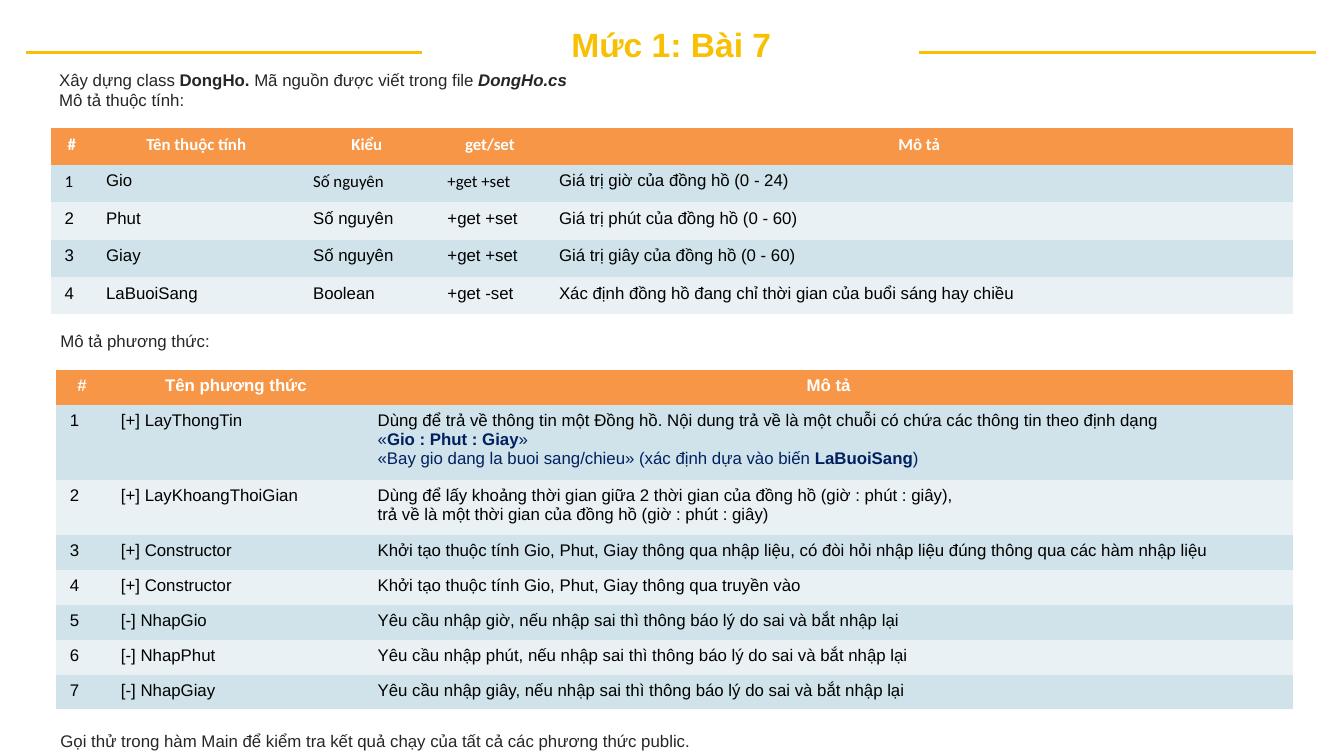
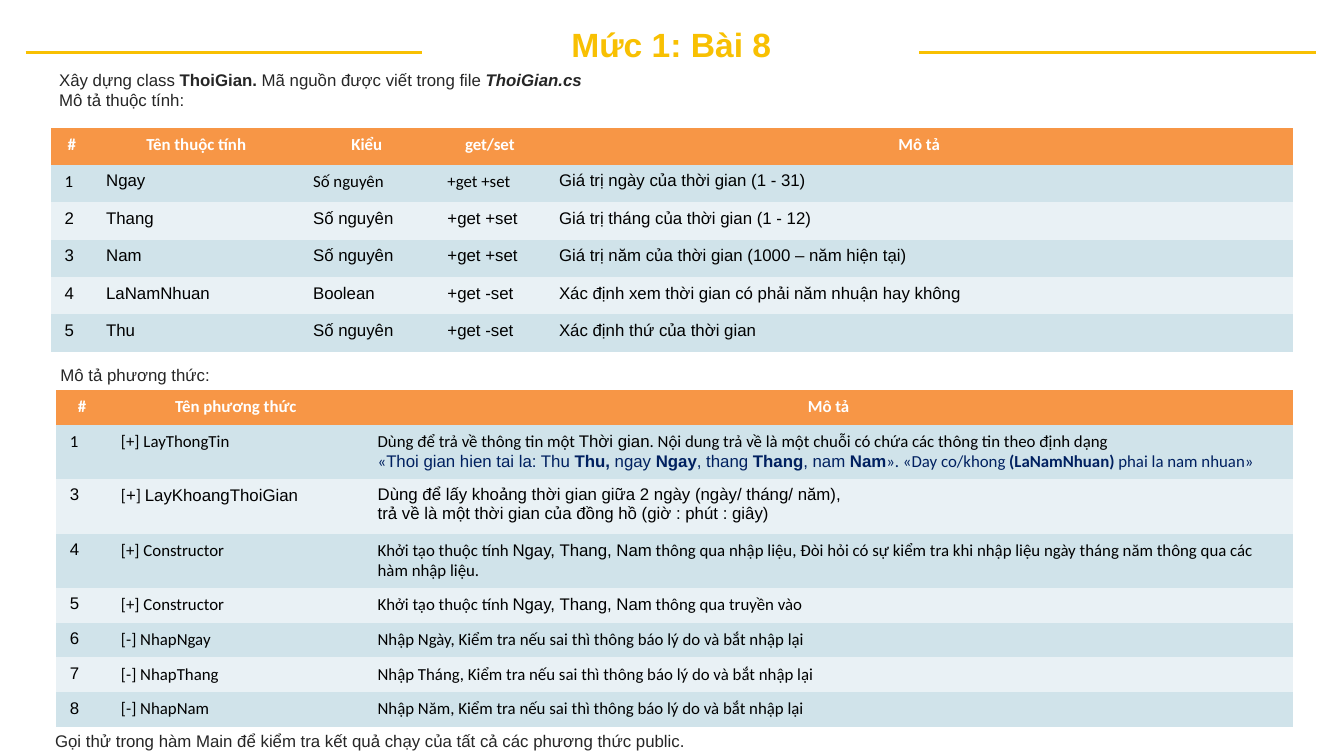
from pptx import Presentation
from pptx.dml.color import RGBColor
from pptx.enum.shapes import MSO_CONNECTOR
from pptx.enum.text import MSO_ANCHOR, MSO_AUTO_SIZE, PP_ALIGN
from pptx.oxml.ns import qn
from pptx.util import Inches, Pt
from lxml.etree import SubElement

GOLD = RGBColor(0xF8, 0xC0, 0x02)
INK = RGBColor(0x26, 0x26, 0x26)
BLACK = RGBColor(0, 0, 0)
WHITE = RGBColor(0xFF, 0xFF, 0xFF)
NAVY = RGBColor(0x00, 0x20, 0x60)
ORANGE = RGBColor(0xF7, 0x96, 0x46)
BANDS = [RGBColor(0xD0, 0xE3, 0xEA), RGBColor(0xE9, 0xF1, 0xF5)]

prs = Presentation()
prs.slide_width, prs.slide_height = Inches(10), Inches(5.625)
COL = prs.slide_width // 100

ATTRIBUTE_COLS = [3.1, 15.4, 10, 8.3, 55.6]
METHOD_COLS = [3.8, 19.1, 69.1]
ATTRIBUTE_HEAD = [(t, "c") for t in ("#", "Tên thuộc tính", "Kiểu", "get/set", "Mô tả")]
METHOD_HEAD = ["#", "Tên phương thức", "Mô tả"]
FIRST_NUMBER = ("1", "c")
FIRST_TYPE = [FIRST_NUMBER, ("Số nguyên", "c"), ("+get +set", "c")]
CALL_NOTE = "Gọi thử trong hàm Main để kiểm tra kết quả chạy của tất cả các phương thức public."
CHECK = "nếu nhập sai thì thông báo lý do sai và bắt nhập lại"
RECHECK = "Kiểm tra nếu sai thì thông báo lý do và bắt nhập lại"
TIME_RESULT = "trả về là một thời gian của đồng hồ (giờ : phút : giây)"
DATE_FIELDS = ("Ngay, Thang, Nam", "")

slides = [
    {
        "title": "Mức 1: Bài 7",
        "class": "DongHo",
        "attributes": [
            ATTRIBUTE_HEAD,
            [FIRST_NUMBER, "Gio", *FIRST_TYPE[1:], "Giá trị giờ của đồng hồ (0 - 24)"],
            ["2", "Phut", "Số nguyên", "+get +set", "Giá trị phút của đồng hồ (0 - 60)"],
            ["3", "Giay", "Số nguyên", "+get +set", "Giá trị giây của đồng hồ (0 - 60)"],
            ["4", "LaBuoiSang", "Boolean", "+get -set",
             "Xác định đồng hồ đang chỉ thời gian của buổi sáng hay chiều"],
        ],
        "label_top": 24.2,
        "methods_top": 27.5,
        "method_rows": [2.6, 5.6, 4.1] + [2.6] * 5,
        "methods": [
            METHOD_HEAD,
            ["1", "[+] LayThongTin", [
                "Dùng để trả về thông tin một Đồng hồ. Nội dung trả về là một chuỗi có chứa các thông tin theo định dạng",
                [("«", "n"), ("Gio : Phut : Giay", "nb"), ("»", "n")],
                [("«Bay gio dang la buoi sang/chieu» (xác định dựa vào biến ", "n"),
                 ("LaBuoiSang", "nb"), (")", "n")]]],
            ["2", "[+] LayKhoangThoiGian", [
                "Dùng để lấy khoảng thời gian giữa 2 thời gian của đồng hồ (giờ : phút : giây),",
                TIME_RESULT]],
            ["3", "[+] Constructor",
             "Khởi tạo thuộc tính Gio, Phut, Giay thông qua nhập liệu, có đòi hỏi nhập liệu đúng thông qua các hàm nhập liệu"],
            ["4", "[+] Constructor", "Khởi tạo thuộc tính Gio, Phut, Giay thông qua truyền vào"],
            ["5", "[-] NhapGio", f"Yêu cầu nhập giờ, {CHECK}"],
            ["6", "[-] NhapPhut", f"Yêu cầu nhập phút, {CHECK}"],
            ["7", "[-] NhapGiay", f"Yêu cầu nhập giây, {CHECK}"],
        ],
        "note_left": 3.8,
    },
    {
        "title": "Mức 1: Bài 8",
        "class": "ThoiGian",
        "attributes": [
            ATTRIBUTE_HEAD,
            [FIRST_NUMBER, "Ngay", *FIRST_TYPE[1:], "Giá trị ngày của thời gian (1 - 31)"],
            ["2", "Thang", "Số nguyên", "+get +set", "Giá trị tháng của thời gian (1 - 12)"],
            ["3", "Nam", "Số nguyên", "+get +set", "Giá trị năm của thời gian (1000 – năm hiện tại)"],
            ["4", "LaNamNhuan", "Boolean", "+get -set", "Xác định xem thời gian có phải năm nhuận hay không"],
            ["5", "Thu", "Số nguyên", "+get -set", "Xác định thứ của thời gian"],
        ],
        "label_top": 26.7,
        "methods_top": 29,
        "method_rows": [2.6, 3.2, 4.1] + [2.6] * 5,
        "methods": [
            [(t, "c") for t in METHOD_HEAD],
            [FIRST_NUMBER, ("[+] LayThongTin", "c"), [
                [("Dùng để trả về thông tin một ", "c"), ("Thời gian", ""),
                 (". Nội dung trả về là một chuỗi có chứa các thông tin theo định dạng", "c")],
                [("«", "nc"), ("Thoi gian hien tai la: Thu ", "n"), ("Thu, ", "nb"), ("ngay ", "n"),
                 ("Ngay", "nb"), (", thang ", "n"), ("Thang", "nb"), (", nam ", "n"), ("Nam", "nb"),
                 ("». «Day co/khong ", "nc"), ("(LaNamNhuan) ", "ncb"), ("phai la nam nhuan»", "nc")]]],
            ["3", [[("[", "c"), ("+", ""), ("] ", "c"), ("LayKhoangThoiGian", "")]],
             ["Dùng để lấy khoảng thời gian giữa 2 ngày (ngày/ tháng/ năm),", TIME_RESULT]],
            ["4", ("[+] Constructor", "c"), [
                [("Khởi tạo thuộc tính ", "c"), DATE_FIELDS,
                 (" thông qua nhập liệu, Đòi hỏi có sự kiểm tra khi nhập liệu ngày tháng năm thông qua các hàm nhập liệu.", "c")]]],
            ["5", ("[+] Constructor", "c"), [
                [("Khởi tạo thuộc tính ", "c"), DATE_FIELDS, (" thông qua truyền vào", "c")]]],
            ["6", ("[-] NhapNgay", "c"), (f"Nhập Ngày, {RECHECK}", "c")],
            ["7", ("[-] NhapThang", "c"), (f"Nhập Tháng, {RECHECK}", "c")],
            ["8", ("[-] NhapNam", "c"), (f"Nhập Năm, {RECHECK}", "c")],
        ],
        "note_left": 3.4,
    },
]


def style(font, flags):
    if "b" in flags:
        font.bold = True
    if "i" in flags:
        font.italic = True
    if "n" in flags:
        font.color.rgb = NAVY
    if "c" in flags:
        font.name = "Calibri"


def write(tf, content, color, size=9, bold=False, align=PP_ALIGN.LEFT):
    paragraphs = content if isinstance(content, list) else [content]
    for i, runs in enumerate(paragraphs):
        p = tf.add_paragraph() if i else tf.paragraphs[0]
        p.alignment = align
        p.font.name, p.font.size, p.font.bold = "Arial", Pt(size), bold
        p.font.color.rgb = color
        runs = runs if isinstance(runs, list) else [runs]
        runs = [(run, "") if isinstance(run, str) else run for run in runs]
        shared = set.intersection(*(set(flags) for _, flags in runs))
        style(p.font, shared)
        for text, flags in runs:
            r = p.add_run()
            r.text = text
            style(r.font, set(flags) - shared)


for data in slides:
    s = prs.slides.add_slide(prs.slide_layouts[6])

    for left in (1.9, 68.4):
        line = s.shapes.add_connector(
            MSO_CONNECTOR.STRAIGHT, *(int(v * COL) for v in (left, 3.9, left + 29.5, 3.9)))
        line.line.color.rgb, line.line.width = GOLD, Pt(1.5)
        SubElement(line._element.spPr, qn("a:effectLst"))

    intro = [
        ["Xây dựng class ", (data["class"] + ".", "b"), " Mã nguồn được viết trong file ",
         (data["class"] + ".cs", "bi")],
        "Mô tả thuộc tính:",
    ]
    for box, content in [
        ((30.7, 1.6, 38.5, 3.3), data["title"]),
        ((3.7, 4.8, 88.3, 3.8), intro),
        ((3.8, data["label_top"], 88.3, 2.3), "Mô tả phương thức:"),
        ((data["note_left"], 54, 88.3, 2.3), CALL_NOTE),
    ]:
        tf = s.shapes.add_textbox(*(int(v * COL) for v in box)).text_frame
        tf.word_wrap = True
        tf.margin_left = tf.margin_right = Inches(0.07)
        tf.margin_top = tf.margin_bottom = Inches(0.04)
        if content == data["title"]:
            tf.vertical_anchor = MSO_ANCHOR.MIDDLE
            write(tf, content, GOLD, 18, True, PP_ALIGN.CENTER)
        else:
            tf.auto_size = MSO_AUTO_SIZE.SHAPE_TO_FIT_TEXT
            write(tf, content, INK)

    attributes = data["attributes"]
    for left, top, cols, heights, rows in [
        (3.8, 9.5, ATTRIBUTE_COLS, [2.78] * len(attributes), attributes),
        (4.2, data["methods_top"], METHOD_COLS, data["method_rows"], data["methods"]),
    ]:
        box = (left, top, sum(cols), sum(heights))
        table = s.shapes.add_table(len(rows), len(cols), *(int(v * COL) for v in box)).table
        for column, width in zip(table.columns, cols):
            column.width = int(width * COL)
        for i, (height, row) in enumerate(zip(heights, rows)):
            table.rows[i].height = int(height * COL)
            for j, content in enumerate(row):
                cell = table.cell(i, j)
                cell.fill.solid()
                cell.fill.fore_color.rgb = BANDS[(i - 1) % 2] if i else ORANGE
                if i:
                    write(cell.text_frame, content, BLACK)
                else:
                    write(cell.text_frame, content, WHITE, bold=True, align=PP_ALIGN.CENTER)
        table_style = table._tbl.tblPr.find(qn("a:tableStyleId"))
        table_style.text = "{2D5ABB26-0587-4C30-8999-92F81FD0307C}"

prs.save("out.pptx")
